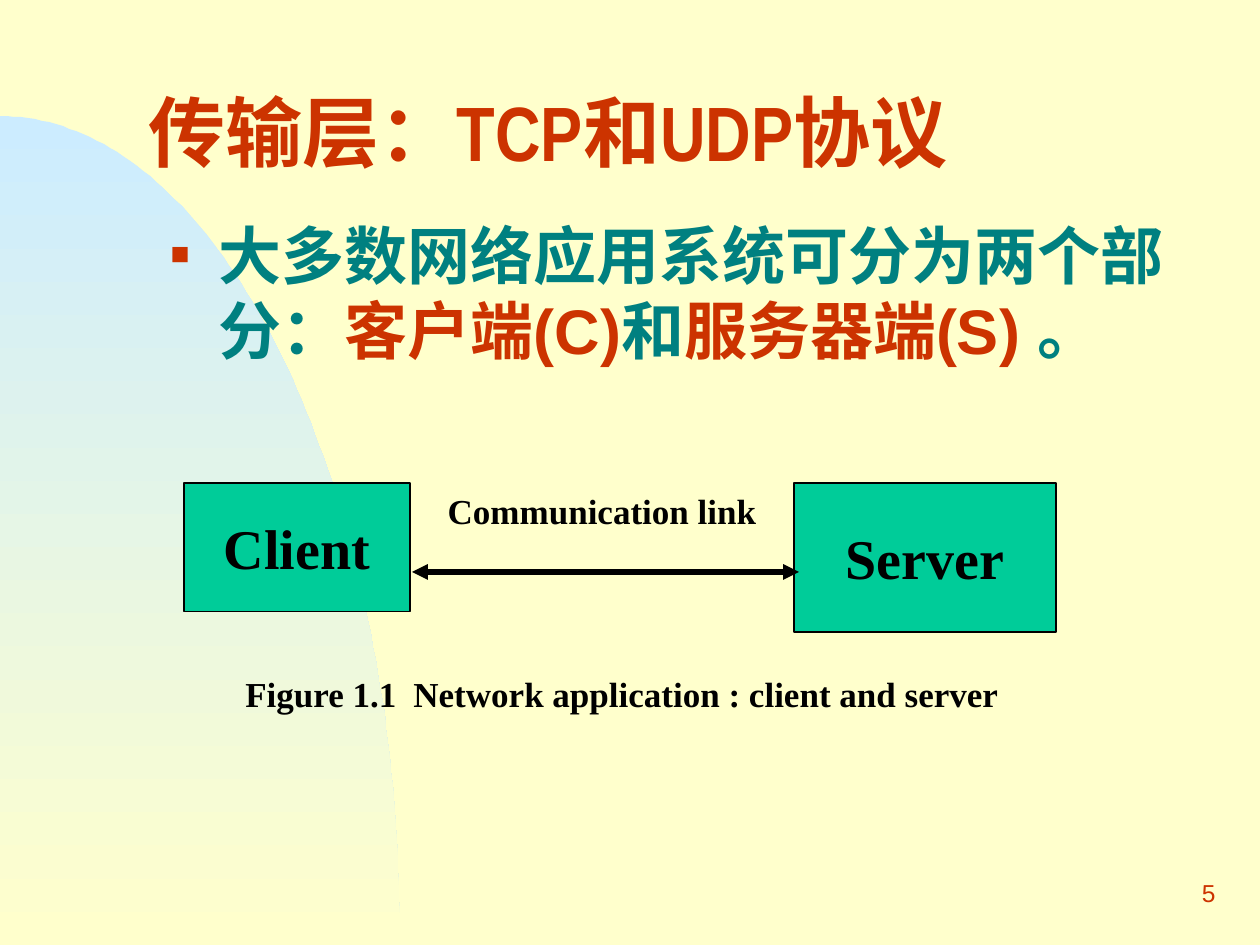
"""Build the slide on the client and server parts of a network application."""
import math

from lxml import etree
from pptx import Presentation
from pptx import util as u
from pptx.dml.color import RGBColor
from pptx.enum import shapes, text
from pptx.oxml import parse_xml
from pptx.oxml.ns import nsdecls, qn

PX = 914400 // 126
COLORS = {"paper": "FFFFCC", "sky": "CCECFF", "red": "CC3300",
          "teal": "008080", "green": "00CC99", "black": "000000"}
SERIF = "Times New Roman"


def rgb(name):
    return RGBColor.from_string(COLORS[name])


def write(shape, runs, size, font, bold=True, align=text.PP_ALIGN.LEFT,
          anchor=text.MSO_ANCHOR.TOP):
    frame = shape.text_frame
    frame.word_wrap = True
    frame.auto_size = text.MSO_AUTO_SIZE.NONE
    frame.vertical_anchor = anchor
    paragraph = frame.paragraphs[0]
    paragraph.alignment = align
    paragraph.space_before = u.Pt(0)
    for words, color in runs:
        run = paragraph.add_run()
        run.text = words
        run.font.size = u.Pt(size)
        run.font.name = font
        run.font.bold = bold
        run.font.color.rgb = rgb(color)
    return paragraph


prs = Presentation()
prs.slide_width, prs.slide_height = u.Inches(10), u.Inches(7.5)
slide = prs.slides.add_slide(prs.slide_layouts[1])
slide.background.fill.solid()
slide.background.fill.fore_color.rgb = rgb("paper")

title, body = slide.placeholders
for holder, box in ((title, (136, 84, 1071, 116)), (body, (158, 210, 1061, 567))):
    holder.left, holder.top, holder.width, holder.height = [n * PX for n in box]

radius_x, radius_y, base = 400, 829, 945
steps = [math.radians(degree) for degree in range(91)]
curve = [(radius_x * math.sin(a), base - radius_y * math.cos(a)) for a in steps]
outline = slide.shapes.build_freeform(0, base, scale=PX)
outline.add_line_segments(curve, close=True)
arc = outline.convert_to_shape()
arc.shadow.inherit = False
arc.line.fill.background()
arc.fill.gradient()
arc.fill.gradient_angle = 270
for stop, color, position in zip(arc.fill.gradient_stops, ("sky", "paper"), (0, 1)):
    stop.color.rgb = rgb(color)
    stop.position = position
title.element.addprevious(arc.element)

heading = write(title, [("传输层：TCP和UDP协议", "red")], 44, "Arial Narrow",
                anchor=text.MSO_ANCHOR.MIDDLE)
heading.line_spacing = 0.7

point = write(body, [("大多数网络应用系统可分为两个部分：", "teal"), ("客户端(C)", "red"),
                     ("和", "teal"), ("服务器端(S) ", "red"), ("。", "teal")],
              36, "Arial")
bullet = point._p.get_or_add_pPr()
bullet.set("marL", str(48 * PX))
bullet.set("indent", str(-48 * PX))
for mark in (f'<a:buClr {nsdecls("a")}><a:srgbClr val="{COLORS["red"]}"/></a:buClr>',
             f'<a:buSzPct {nsdecls("a")} val="50000"/>',
             f'<a:buFont {nsdecls("a")} typeface="Arial"/>',
             f'<a:buChar {nsdecls("a")} char="■"/>'):
    bullet.append(parse_xml(mark))

for role, left, width, height in (("Client", 184, 226, 129), ("Server", 794, 262, 149)):
    node = slide.shapes.add_shape(shapes.MSO_SHAPE.RECTANGLE, left * PX, 483 * PX,
                                  width * PX, height * PX)
    node.shadow.inherit = False
    node.fill.solid()
    node.fill.fore_color.rgb = rgb("green")
    node.line.color.rgb = rgb("black")
    node.line.width = u.Pt(0.75)
    write(node, [(role, "black")], 32, SERIF, align=text.PP_ALIGN.CENTER,
          anchor=text.MSO_ANCHOR.MIDDLE)

link = slide.shapes.add_connector(shapes.MSO_CONNECTOR.STRAIGHT,
                                  412 * PX, 572 * PX, 799 * PX, 572 * PX)
link.line.color.rgb = rgb("black")
link.line.width = u.Pt(3)
for end in ("a:headEnd", "a:tailEnd"):
    etree.SubElement(link.line._get_or_add_ln(), qn(end), type="triangle")
etree.SubElement(link.element.spPr, qn("a:effectLst"))

link_label = slide.shapes.add_textbox(392 * PX, 483 * PX, 420 * PX, 55 * PX)
write(link_label, [("Communication link", "black")], 20, SERIF,
      align=text.PP_ALIGN.CENTER)

caption = slide.shapes.add_textbox(233 * PX, 666 * PX, 794 * PX, 55 * PX)
caption_line = write(
    caption, [("Figure 1.1\tNetwork application : client and server", "black")], 20, SERIF)
tabs = etree.SubElement(caption_line._p.get_or_add_pPr(), qn("a:tabLst"))
etree.SubElement(tabs, qn("a:tab"), pos=str(168 * PX), algn="l")

page_number = slide.shapes.add_textbox(966 * PX, 861 * PX, 262 * PX, 63 * PX)
write(page_number, [("5", "red")], 14, "Arial", bold=False,
      align=text.PP_ALIGN.RIGHT, anchor=text.MSO_ANCHOR.MIDDLE)

prs.save("out.pptx")
